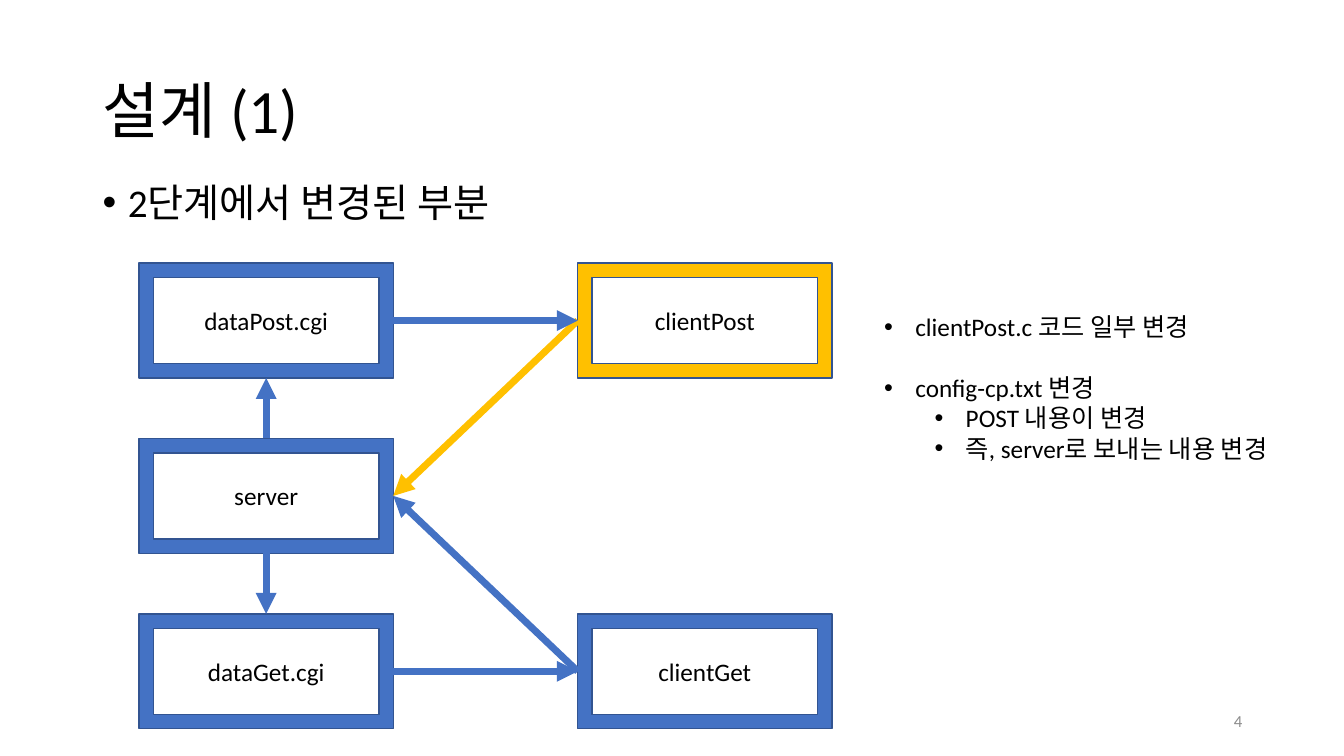
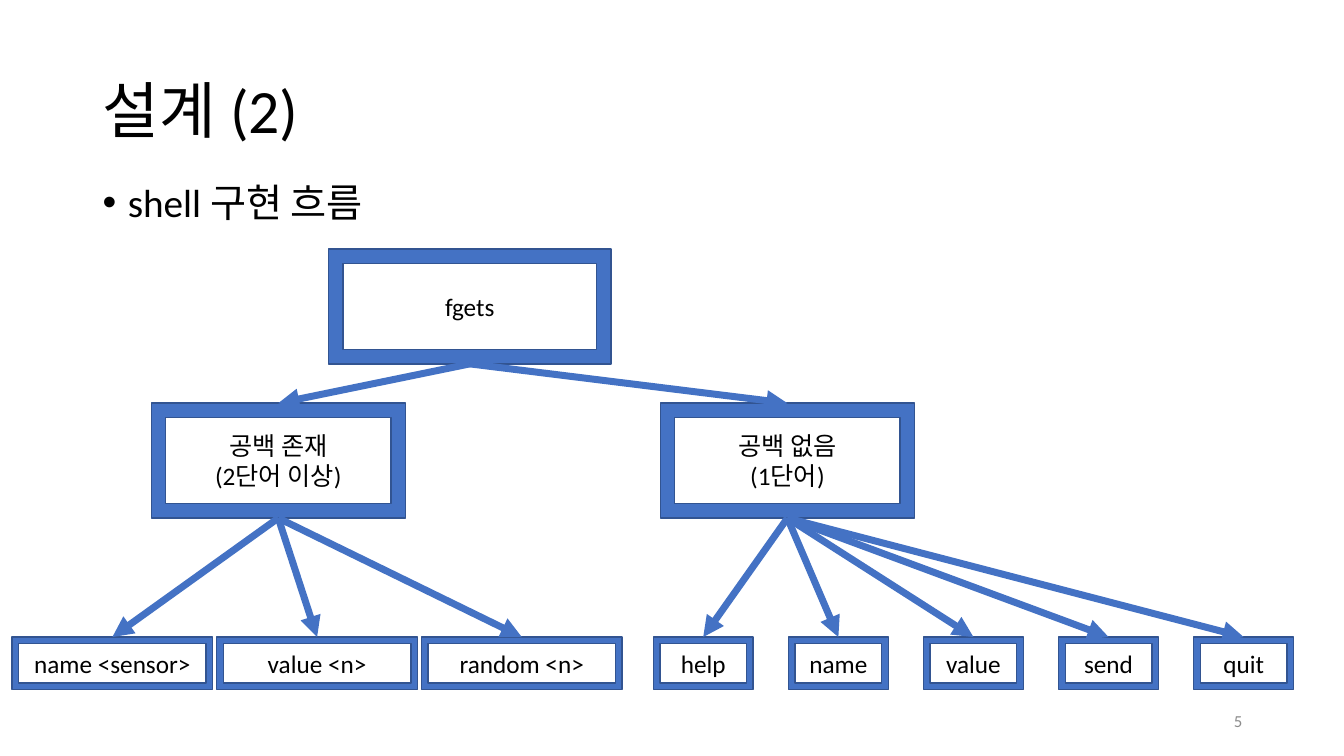
import collections
import dataclasses

import lxml.etree
import pptx
import pptx.dml.color
import pptx.enum.shapes
import pptx.enum.text
import pptx.oxml.ns
import pptx.util

Box = collections.namedtuple("Box", "left top width height")
Align = pptx.enum.text.PP_ALIGN
Anchor = pptx.enum.text.MSO_ANCHOR
TOP, LEFT, BOTTOM, RIGHT = range(4)
PX = 9144


@dataclasses.dataclass(frozen=True)
class Theme:
    """Colours, font and type sizes shared by all slides."""
    font: str = "Calibri"
    ink: str = "000000"
    muted: str = "8C8C8C"
    blue: str = "4472C4"
    gold: str = "FFC000"
    outline: str = "325491"
    title: int = 44
    heading: int = 28
    text: int = 18
    small: int = 12
    border: int = 1
    arrow: int = 5


THEME = Theme()
SLIDE = Box(0, 0, 1333, 750)
TITLE = Box(92, 40, 1150, 145)
BODY = Box(92, 177, 1150, 476)
NUMBER = Box(942, 695, 300, 40)
NODE = (252, 114)


def emu(box):
    """Return the four lengths of a box in EMU."""
    return [pptx.util.Emu(length * PX) for length in box]


def rgb(value):
    """Return a colour from its hexadecimal value."""
    return pptx.dml.color.RGBColor.from_string(value)


def style(para, size, color=THEME.ink, align=Align.LEFT):
    """Set the font and alignment of a paragraph."""
    para.font.name = THEME.font
    para.font.size = pptx.util.Pt(size)
    para.font.color.rgb = rgb(color)
    para.alignment = align


def bullet(para, margin, hang):
    """Give a paragraph a hanging round bullet."""
    properties = para._p.get_or_add_pPr()
    properties.set("marL", str(margin * PX))
    properties.set("indent", str(-hang * PX))
    qn = pptx.oxml.ns.qn
    lxml.etree.SubElement(properties, qn("a:buFont"), typeface="Arial")
    lxml.etree.SubElement(properties, qn("a:buChar"), char="•")


def text_box(page, box, anchor=Anchor.TOP):
    """Add a wrapping text box and return its text frame."""
    frame = page.shapes.add_textbox(*emu(box)).text_frame
    frame.word_wrap = True
    frame.vertical_anchor = anchor
    return frame


def node(page, box, label, color=THEME.blue):
    """Add a framed node with a centred label."""
    shape = page.shapes.add_shape(pptx.enum.shapes.MSO_SHAPE.FRAME, *emu(box))
    shape.shadow.inherit = False
    shape.fill.solid()
    shape.fill.fore_color.rgb = rgb(color)
    shape.line.color.rgb = rgb(THEME.outline)
    shape.line.width = pptx.util.Pt(THEME.border)
    shape.text_frame.text = label
    shape.text_frame.vertical_anchor = Anchor.MIDDLE
    for para in shape.text_frame.paragraphs:
        style(para, THEME.text, align=Align.CENTER)
    return shape


def arrow(page, source, source_side, target, target_side, color=THEME.blue):
    """Join the sides of two nodes with an arrow."""
    kind = pptx.enum.shapes.MSO_CONNECTOR.STRAIGHT
    line = page.shapes.add_connector(kind, 0, 0, 0, 0)
    line.begin_connect(source, source_side)
    line.end_connect(target, target_side)
    line.line.color.rgb = rgb(color)
    line.line.width = pptx.util.Pt(THEME.arrow)
    qn = pptx.oxml.ns.qn
    properties = line.element.spPr
    lxml.etree.SubElement(properties.find(qn("a:ln")), qn("a:tailEnd"), type="triangle")
    lxml.etree.SubElement(properties, qn("a:effectLst"))


def content_page(deck, title, heading, number):
    """Add a slide with its title, heading bullet and slide number."""
    page = deck.slides.add_slide(deck.slide_layouts[5])
    holder = page.shapes.title
    holder.left, holder.top, holder.width, holder.height = emu(TITLE)
    holder.text_frame.text = title
    holder.text_frame.vertical_anchor = Anchor.MIDDLE
    para = holder.text_frame.paragraphs[0]
    style(para, THEME.title)
    para.line_spacing = 0.9

    para = text_box(page, BODY).paragraphs[0]
    para.text = heading
    bullet(para, 25, 25)
    style(para, THEME.heading)
    para.line_spacing = 0.9
    para.space_before = pptx.util.Pt(10)

    para = text_box(page, NUMBER, Anchor.MIDDLE).paragraphs[0]
    para.text = str(number)
    style(para, THEME.small, THEME.muted, Align.RIGHT)
    return page


def server_diagram(page, box):
    """Draw the server, its CGI programs and their clients on a grid."""
    width, height = NODE
    column_step = box.width - width
    row_step = (box.height - height) // 2

    def place(column, row, label, color=THEME.blue):
        """Add a node in one cell of the grid."""
        left, top = box.left + column * column_step, box.top + row * row_step
        return node(page, Box(left, top, width, height), label, color)

    data_post = place(0, 0, "dataPost.cgi")
    server = place(0, 1, "server")
    data_get = place(0, 2, "dataGet.cgi")
    client_post = place(1, 0, "clientPost", THEME.gold)
    client_get = place(1, 2, "clientGet")
    arrow(page, client_post, LEFT, server, RIGHT, THEME.gold)
    arrow(page, client_get, LEFT, server, RIGHT)
    arrow(page, server, TOP, data_post, BOTTOM)
    arrow(page, server, BOTTOM, data_get, TOP)
    arrow(page, data_post, RIGHT, client_post, LEFT)
    arrow(page, data_get, RIGHT, client_get, LEFT)


def change_notes(page, box):
    """List the changed files beside the diagram."""
    notes = [
        (0, 0, "clientPost.c 코드 일부 변경"),
        (0, 22, "config-cp.txt 변경"),
        (1, 0, "POST 내용이 변경"),
        (1, 0, "즉, server로 보내는 내용 변경"),
    ]
    frame = text_box(page, box)
    frame.text = "\n".join(note for _, _, note in notes)
    for para, (level, gap, _) in zip(frame.paragraphs, notes):
        para.level = level
        bullet(para, 31 + 50 * level, 31)
        style(para, THEME.text)
        para.space_before = pptx.util.Pt(gap)


def branch(page, box, root, label, indent, leaves, leaf_width):
    """Draw one case of the tree below its root, with leaves spread over the box."""
    leaf_height = 52
    head = node(page, Box(box.left + indent, box.top, *NODE), label)
    arrow(page, root, BOTTOM, head, TOP)
    step = (box.width - leaf_width) // (len(leaves) - 1)
    top = box.top + box.height - leaf_height
    for index, leaf in enumerate(leaves):
        area = Box(box.left + index * step, top, leaf_width, leaf_height)
        arrow(page, head, BOTTOM, node(page, area, leaf), TOP)


def shell_tree(page, box):
    """Draw how a line read by the shell is split into commands."""
    root = node(page, Box(box.left + 314, box.top, 280, 114), "fgets")
    top, height = box.top + 153, box.height - 153
    branch(page, Box(box.left, top, 605, height), root, "공백 존재\n(2단어 이상)",
           138, ["name <sensor>", "value <n>", "random <n>"], 199)
    branch(page, Box(box.left + 636, top, 635, height), root, "공백 없음\n(1단어)",
           7, ["help", "name", "value", "send", "quit"], 99)


def main():
    """Build and save the deck."""
    deck = pptx.Presentation()
    _, _, deck.slide_width, deck.slide_height = emu(SLIDE)
    page = content_page(deck, "설계 (1)", "2단계에서 변경된 부분", 4)
    server_diagram(page, Box(138, 261, 687, 462))
    change_notes(page, Box(867, 304, 439, 162))
    page = content_page(deck, "설계 (2)", "shell 구현 흐름", 5)
    shell_tree(page, Box(12, 247, 1271, 437))
    deck.save("out.pptx")


if __name__ == "__main__":
    main()
